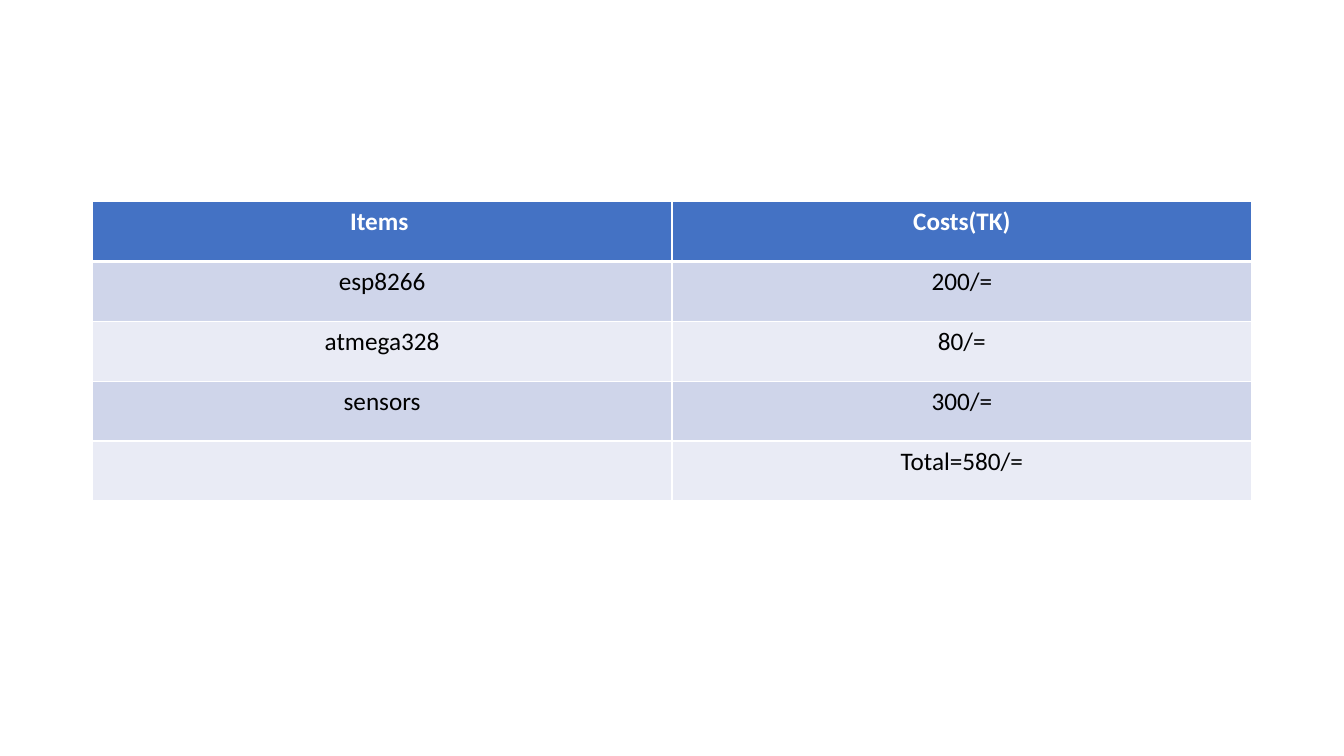
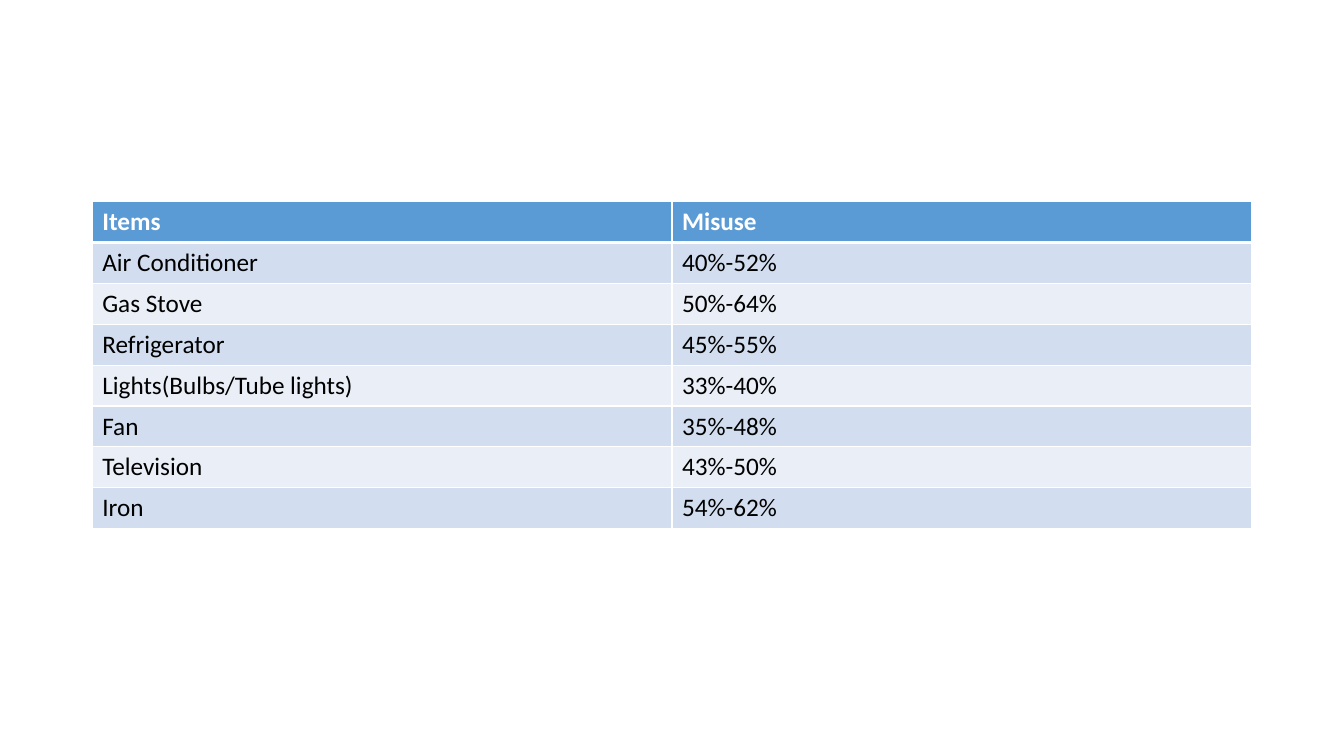
from lxml.etree import fromstring
from pptx import Presentation
from pptx.dml.color import RGBColor as RGB
from pptx.enum.text import PP_ALIGN as AL
from pptx.oxml.ns import nsdecls
from pptx.util import Inches, Pt

WHITE, BLACK = RGB(255, 255, 255), RGB(0, 0, 0)
BLUE = RGB(0x44, 0x72, 0xC4), RGB(0xCF, 0xD5, 0xEA), RGB(0xE9, 0xEB, 0xF5)
SKY = RGB(0x5B, 0x9B, 0xD5), RGB(0xD2, 0xDE, 0xEF), RGB(0xEA, 0xEF, 0xF7)

WIDTH, HEIGHT = Inches(13.33), Inches(7.5)
TABLE_W, TABLE_TOP = Inches(11.5), Inches(2)
THIN, THICK = Pt(1), Pt(3)
HEAD = {"name": "Calibri", "size": Pt(18), "bold": True}
BODY = {**HEAD, "bold": False}

TABLES = [
    {
        "rows": [
            ("Items ", "Costs(TK)"),
            ("esp8266", "200/="),
            ("atmega328", "80/="),
            ("sensors", "300/="),
            ("", "Total=580/="),
        ],
        "height": Inches(2.97), "colors": BLUE, "align": AL.CENTER,
    },
    {
        "rows": [
            ("Items", "Misuse"),
            ("Air Conditioner", "40%-52%"),
            ("Gas Stove", "50%-64%"),
            ("Refrigerator", "45%-55%"),
            ("Lights(Bulbs/Tube lights)", "33%-40%"),
            ("Fan", "35%-48%"),
            ("Television", "43%-50%"),
            ("Iron", "54%-62%"),
        ],
        "height": Inches(3.24), "colors": SKY, "align": AL.LEFT,
    },
]


def set_borders(cell, row):
    widths = {
        "L": THIN,
        "R": THIN,
        "T": THICK if row == 1 else THIN,
        "B": THICK if row == 0 else THIN,
    }
    tc_pr = cell._tc.get_or_add_tcPr()
    for i, (side, width) in enumerate(widths.items()):
        tc_pr.insert(i, fromstring(
            f'<a:ln{side} {nsdecls("a")} w="{width}"><a:solidFill>'
            f'<a:srgbClr val="{WHITE}"/></a:solidFill></a:ln{side}>'))


def format_cell(cell, text, row, colors, align):
    cell.fill.solid()
    cell.fill.fore_color.rgb = colors[0] if row == 0 else colors[2 - row % 2]
    set_borders(cell, row)
    p = cell.text_frame.paragraphs[0]
    p.alignment = align
    if text:
        r = p.add_run()
        r.text = text
        for key, value in (BODY if row else HEAD).items():
            setattr(r.font, key, value)
        r.font.color.rgb = BLACK if row else WHITE


def add_table_slide(prs, rows, height, colors, align):
    s = prs.slides.add_slide(prs.slide_layouts[6])
    left = (WIDTH - TABLE_W) // 2
    table = s.shapes.add_table(
        len(rows), len(rows[0]), left, TABLE_TOP, TABLE_W, height).table
    for i, row in enumerate(rows):
        for j, text in enumerate(row):
            format_cell(table.cell(i, j), text, i, colors, align)


def main():
    prs = Presentation()
    prs.slide_width, prs.slide_height = WIDTH, HEIGHT
    for content in TABLES:
        add_table_slide(prs, **content)
    prs.save("out.pptx")


if __name__ == "__main__":
    main()
